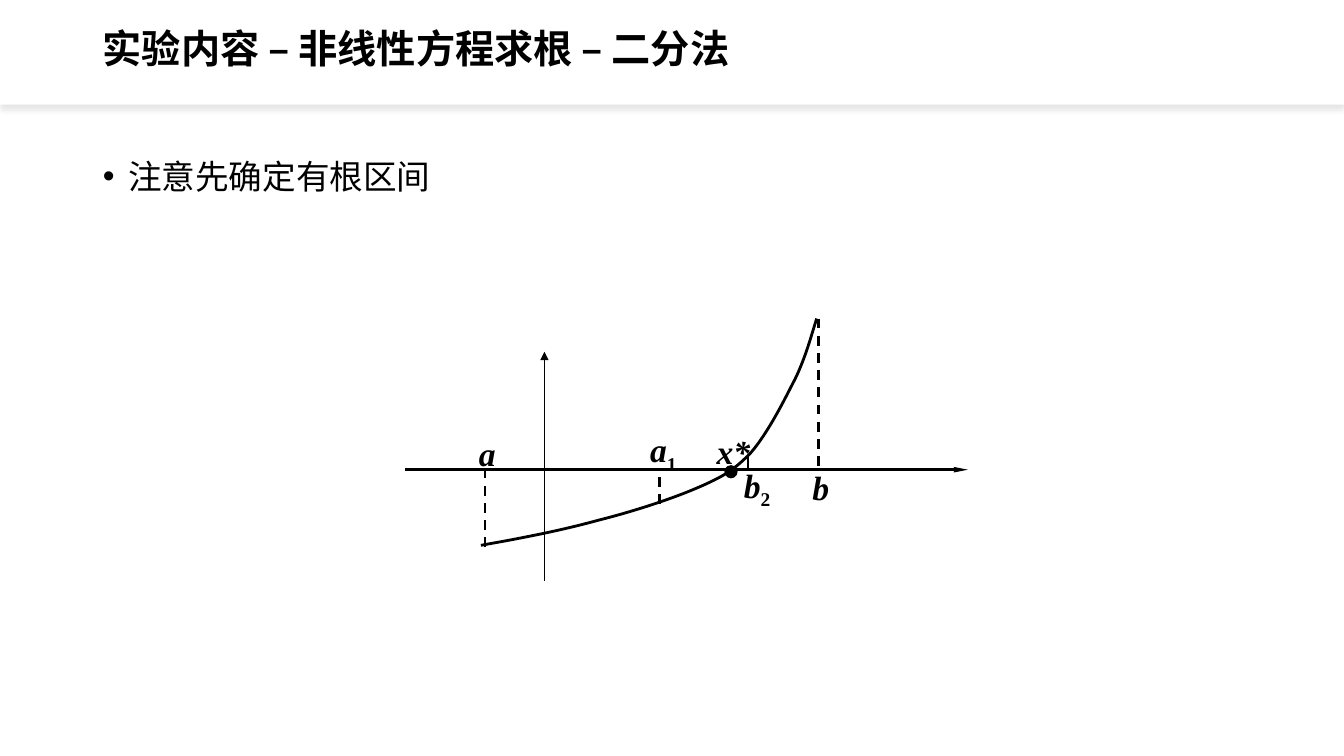
from lxml.etree import SubElement
from pptx import Presentation
from pptx.dml.color import RGBColor
from pptx.enum.dml import MSO_LINE
from pptx.enum.shapes import MSO_CONNECTOR, MSO_SHAPE
from pptx.enum.text import MSO_ANCHOR, PP_ALIGN
from pptx.oxml.ns import qn
from pptx.util import Inches, Pt

BLACK = RGBColor(0, 0, 0)
WHITE = RGBColor(255, 255, 255)
SLIDE_W, SLIDE_H = 13.33, 7.5
MARGIN = 0.92
CONTENT_W = SLIDE_W - 2 * MARGIN
AXIS_Y = 4.66  # height of the x axis
Y_AXIS_X = 5.4

TITLE = "实验内容 – 非线性方程求根 – 二分法"
BULLET = "注意先确定有根区间"

# symbol, subscript, left, top, width
LABELS = [
    ("a", "", 4.65, 4.25, 0.42),
    ("a", "1", 6.35, 4.21, 0.58),
    ("x*", "", 7.01, 4.23, 0.67),
    ("b", "2", 7.28, 4.56, 0.58),
    ("b", "", 7.96, 4.58, 0.5),
]
# x, y on the curve, dashed
DROPS = [(4.81, 5.43, True), (6.54, 5, True), (7.42, 4.52, False), (8.12, 3.16, True)]
CURVE_START = (4.77, 5.41)
CURVE_PIECES = [  # two control points and an end point each
    ((5.17, 5.34), (5.58, 5.26), (5.94, 5.16)),
    ((6.3, 5.07), (6.69, 4.94), (6.94, 4.83)),
    ((7.19, 4.72), (7.28, 4.66), (7.44, 4.5)),
    ((7.59, 4.33), (7.74, 4.05), (7.85, 3.83)),
    ((7.97, 3.61), (8.03, 3.39), (8.1, 3.16)),
]
CURVE_STEPS = 10
ROOT_X, ROOT_SIZE = 7.25, 0.12


def place(shape, left, top, width, height):
    shape.left, shape.top = Inches(left), Inches(top)
    shape.width, shape.height = Inches(width), Inches(height)


def style_font(font, name, size, bold=False, italic=False):
    font.name, font.size = name, Pt(size)
    font.bold, font.italic = bold, italic
    font.color.rgb = BLACK


def add_line(slide, start, end, width, dashed=False, head=None):
    """Draw a straight line; head is the (width, length) of an arrowhead at its end."""
    line = slide.shapes.add_connector(
        MSO_CONNECTOR.STRAIGHT, *(Inches(v) for v in (*start, *end)))
    line.line.color.rgb = BLACK
    line.line.width = Pt(width)
    if dashed:
        line.line.dash_style = MSO_LINE.DASH
    if head:
        SubElement(line.line._get_or_add_ln(), qn("a:tailEnd"),
                   type="triangle", w=head[0], len=head[1])
    SubElement(line._element.spPr, qn("a:effectLst"))


def add_header(slide):
    """Put a white band with a soft lower shadow behind the title."""
    band = slide.shapes.add_shape(
        MSO_SHAPE.RECTANGLE, 0, Inches(0.01), Inches(SLIDE_W), Inches(1.03))
    band.fill.solid()
    band.fill.fore_color.rgb = WHITE
    band.line.fill.background()
    effects = SubElement(band._element.spPr, qn("a:effectLst"))
    shadow = SubElement(effects, qn("a:outerShdw"), blurRad=str(Pt(4)),
                        dist=str(Pt(3)), dir="5400000", algn="t", rotWithShape="0")
    tint = SubElement(shadow, qn("a:srgbClr"), val="000000")
    SubElement(tint, qn("a:alpha"), val="10000")
    slide.shapes.title._element.addprevious(band._element)


def add_wording(slide):
    title, body = slide.shapes.title, slide.placeholders[1]
    place(title, MARGIN, 0.15, CONTENT_W, 0.71)
    title.text_frame.text = TITLE
    title.text_frame.vertical_anchor = MSO_ANCHOR.MIDDLE
    heading = title.text_frame.paragraphs[0]
    heading.alignment = PP_ALIGN.LEFT
    heading.line_spacing = 0.9
    style_font(heading.font, "Montserrat", 28, bold=True)

    place(body, MARGIN, 1.54, CONTENT_W, 0.57)
    body.text_frame.text = BULLET
    point = body.text_frame.paragraphs[0]
    point.line_spacing, point.space_before = 0.9, Pt(10)
    style_font(point.font, "Arial", 24)
    properties = point._p.get_or_add_pPr()
    properties.set("marL", str(Inches(0.25)))
    properties.set("indent", str(-Inches(0.25)))
    bullet = properties.makeelement(qn("a:buChar"), {"char": "•"})
    properties.find(qn("a:defRPr")).addprevious(bullet)


def curve_points():
    start = CURVE_START
    for piece in CURVE_PIECES:
        for step in range(1, CURVE_STEPS + 1):
            t = step / CURVE_STEPS
            weights = ((1 - t) ** 3, 3 * t * (1 - t) ** 2, 3 * t * t * (1 - t), t ** 3)
            yield tuple(Inches(sum(w * p[axis] for w, p in zip(weights, (start, *piece))))
                        for axis in (0, 1))
        start = piece[-1]


def add_curve(slide):
    builder = slide.shapes.build_freeform(*(Inches(v) for v in CURVE_START))
    builder.add_line_segments(list(curve_points()), close=False)
    curve = builder.convert_to_shape()
    curve.fill.background()
    curve.line.color.rgb = BLACK
    curve.line.width = Pt(2)
    curve.shadow.inherit = False


def add_root(slide):
    root = slide.shapes.add_shape(
        MSO_SHAPE.OVAL, Inches(ROOT_X - ROOT_SIZE / 2), Inches(4.62),
        Inches(ROOT_SIZE), Inches(ROOT_SIZE))
    root.fill.solid()
    root.fill.fore_color.rgb = BLACK
    root.line.color.rgb = BLACK
    root.shadow.inherit = False


def add_label(slide, symbol, subscript, left, top, width):
    label = slide.shapes.add_textbox(*(Inches(v) for v in (left, top, width, 0.5)))
    label.text_frame.word_wrap = True
    paragraph = label.text_frame.paragraphs[0]
    paragraph.alignment = PP_ALIGN.JUSTIFY
    style_font(paragraph.font, "Times New Roman", 24, bold=True, italic=True)
    paragraph.add_run().text = symbol
    if subscript:
        index = paragraph.add_run()
        index.text = subscript
        index.font.italic = False
        index._r.get_or_add_rPr().set("baseline", "-25000")


def main():
    deck = Presentation()
    deck.slide_width, deck.slide_height = Inches(SLIDE_W), Inches(SLIDE_H)
    slide = deck.slides.add_slide(deck.slide_layouts[1])
    add_header(slide)
    add_wording(slide)
    for x, y, dashed in DROPS:
        add_line(slide, (x, y), (x, AXIS_Y), 1.75, dashed)
    add_line(slide, (4.02, AXIS_Y), (9.6, AXIS_Y), 2, head=("sm", "lg"))
    add_line(slide, (Y_AXIS_X, 5.76), (Y_AXIS_X, 3.49), 1.25, head=("med", "med"))
    add_curve(slide)
    add_root(slide)
    for label in LABELS:
        add_label(slide, *label)
    deck.save("out.pptx")


if __name__ == "__main__":
    main()
